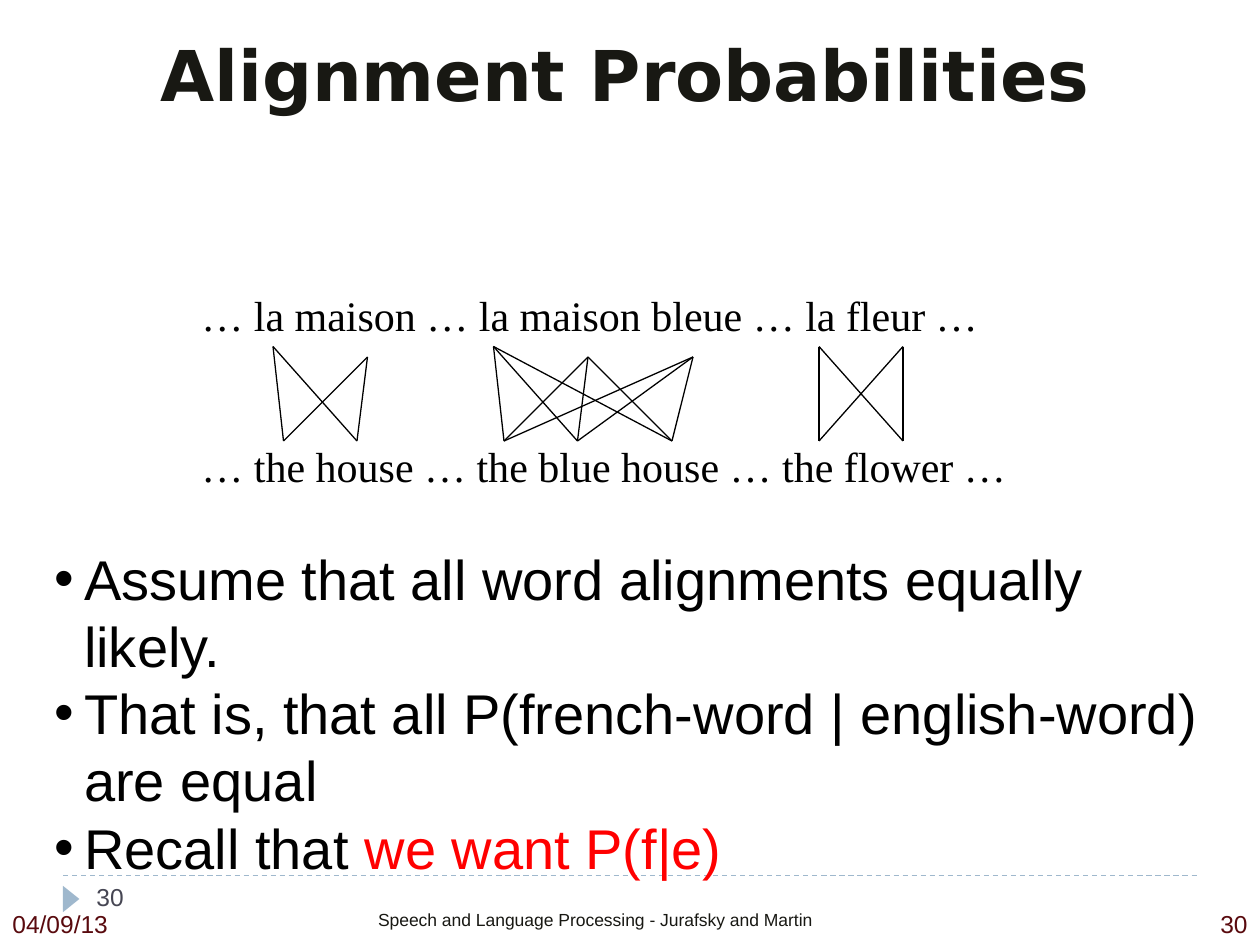
from dataclasses import dataclass, field
from itertools import product

from lxml import etree
from pptx import Presentation
from pptx import util as u
from pptx.dml import color
from pptx.enum import dml, shapes, text
from pptx.oxml import ns

BLACK, RED, WINE, DARK, STEEL = "000000", "FF0000", "590A0E", "181813", "9FB8CD"
ALIGN, ANCHOR = text.PP_ALIGN, text.MSO_ANCHOR


@dataclass
class Label:
    box: tuple[float, float, float, float]
    lines: list[list[tuple[str, str]]]
    font: dict
    para: dict = field(default_factory=dict)
    frame: dict = field(default_factory=dict)
    gap: float = 0
    hang: float = 0


@dataclass
class Group:
    tops: list[tuple[float, float]]
    feet: list[float]


FOOT = 252
GROUPS = [
    Group([(156, 198), (210, 204)], [162, 204]),
    Group([(282, 198), (336, 204), (396, 204)], [288, 330, 384]),
    Group([(468, 198), (516, 198)], [468, 516]),
]

SMALL = {"name": "Arial", "size": u.Pt(14)}
LABELS = [
    Label((0, 516, 96, 24), [[("04/09/13", WINE)]], SMALL),
    Label((96, 516, 588, 24),
          [[("Speech and Language Processing - Jurafsky and Martin", DARK)]],
          {"name": "Arial", "size": u.Pt(10)}, frame={"margin_left": u.Pt(120)}),
    Label((684, 516, 36, 24), [[("30", WINE)]], SMALL, {"alignment": ALIGN.RIGHT}),
    Label((6, 0, 702, 84), [[("Alignment Probabilities", DARK)]],
          {"name": "DejaVu Sans", "size": u.Pt(40), "bold": True},
          {"alignment": ALIGN.CENTER}, {"vertical_anchor": ANCHOR.MIDDLE}),
    Label((108, 162, 474.5, 122.4),
          [[("… la maison … la maison bleue … la fleur …", BLACK)],
           [("… the house … the blue house … the flower …", BLACK)]],
          {"name": "Times New Roman", "size": u.Pt(24)},
          {"line_spacing": u.Pt(28.8)}, {"word_wrap": False}, gap=57.6),
    Label((24, 307.5, 684, 199.2),
          [[("Assume that all word alignments equally likely.", BLACK)],
           [("That is, that all P(french-word | english-word) are equal", BLACK)],
           [("Recall that ", BLACK), ("we want P(f|e)", RED)]],
          {"name": "Arial", "size": u.Pt(32)},
          {"line_spacing": u.Pt(38.4)}, hang=17),
    Label((48, 500.4, 156, 28.8), [[("30", "464653")]], SMALL),
]


def put(obj, vals: dict) -> None:
    for key, val in vals.items():
        setattr(obj, key, val)


def tint(form, code: str) -> None:
    form.rgb = color.RGBColor.from_string(code)


def paint(fill, code: str) -> None:
    fill.solid()
    tint(fill.fore_color, code)


def bullet(para, hang: float) -> None:
    props = para._p.get_or_add_pPr()
    props.set("marL", str(u.Pt(hang)))
    props.set("indent", str(-u.Pt(hang)))
    etree.SubElement(props, ns.qn("a:buFont")).set("typeface", "Arial")
    etree.SubElement(props, ns.qn("a:buChar")).set("char", "•")


def write(slide, label: Label) -> None:
    frame = slide.shapes.add_textbox(*map(u.Pt, label.box)).text_frame
    put(frame, {"word_wrap": True, **label.frame})
    for rank, line in enumerate(label.lines):
        para = frame.add_paragraph() if rank else frame.paragraphs[0]
        if label.hang:
            bullet(para, label.hang)
        put(para, label.para)
        if rank and label.gap:
            para.space_before = u.Pt(label.gap)
        for words, code in line:
            run = para.add_run()
            run.text = words
            put(run.font, label.font)
            tint(run.font.color, code)


def link(slide, start: tuple[float, float], end: tuple[float, float],
         code: str = BLACK, **form):
    line = slide.shapes.add_connector(
        shapes.MSO_CONNECTOR.STRAIGHT, *map(u.Pt, (*start, *end)))
    etree.SubElement(line._element.spPr, ns.qn("a:effectLst"))
    paint(line.line.fill, code)
    put(line.line, {"width": u.Pt(0.75), **form})
    etree.SubElement
    line._element.spPr.append(line._element.spPr.find(ns.qn("a:effectLst")))


def mark(slide) -> None:
    shape = slide.shapes.add_shape(
        shapes.MSO_SHAPE.ISOSCELES_TRIANGLE, *map(u.Pt, (33.1, 509, 15.1, 9.4)))
    shape.rotation = 90
    shape.shadow.inherit = False
    paint(shape.fill, STEEL)
    shape.line.fill.background()


def main() -> None:
    deck = Presentation()
    put(deck, {"slide_width": u.Pt(720), "slide_height": u.Pt(540)})
    slide = deck.slides.add_slide(deck.slide_layouts[6])
    link(slide, (36, 500.4), (684, 500.4), STEEL, dash_style=dml.MSO_LINE.DASH)
    mark(slide)
    for label in LABELS:
        write(slide, label)
    for group in GROUPS:
        for top, foot in product(group.tops, group.feet):
            link(slide, top, (foot, FOOT))
    deck.save("out.pptx")


if __name__ == "__main__":
    main()
